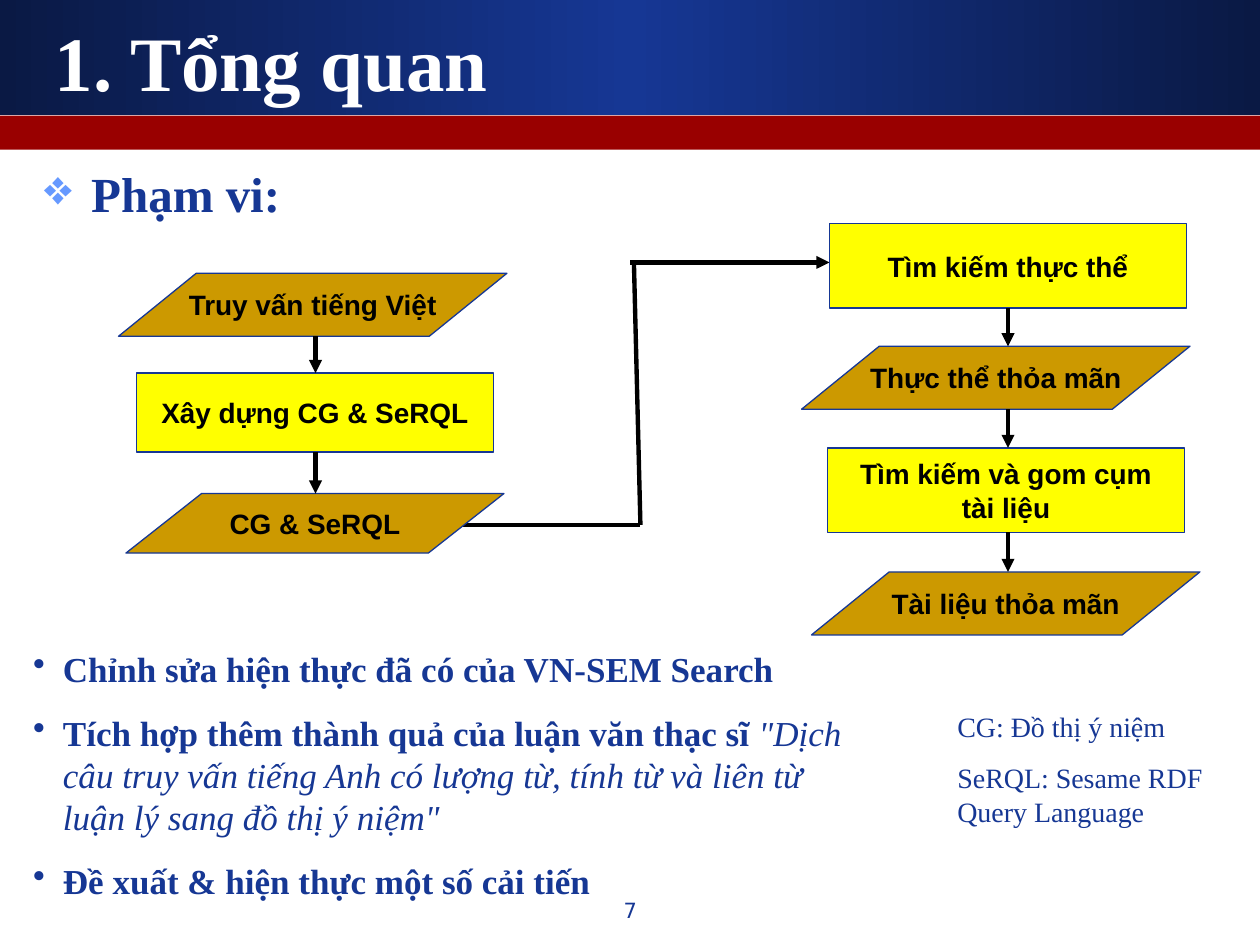
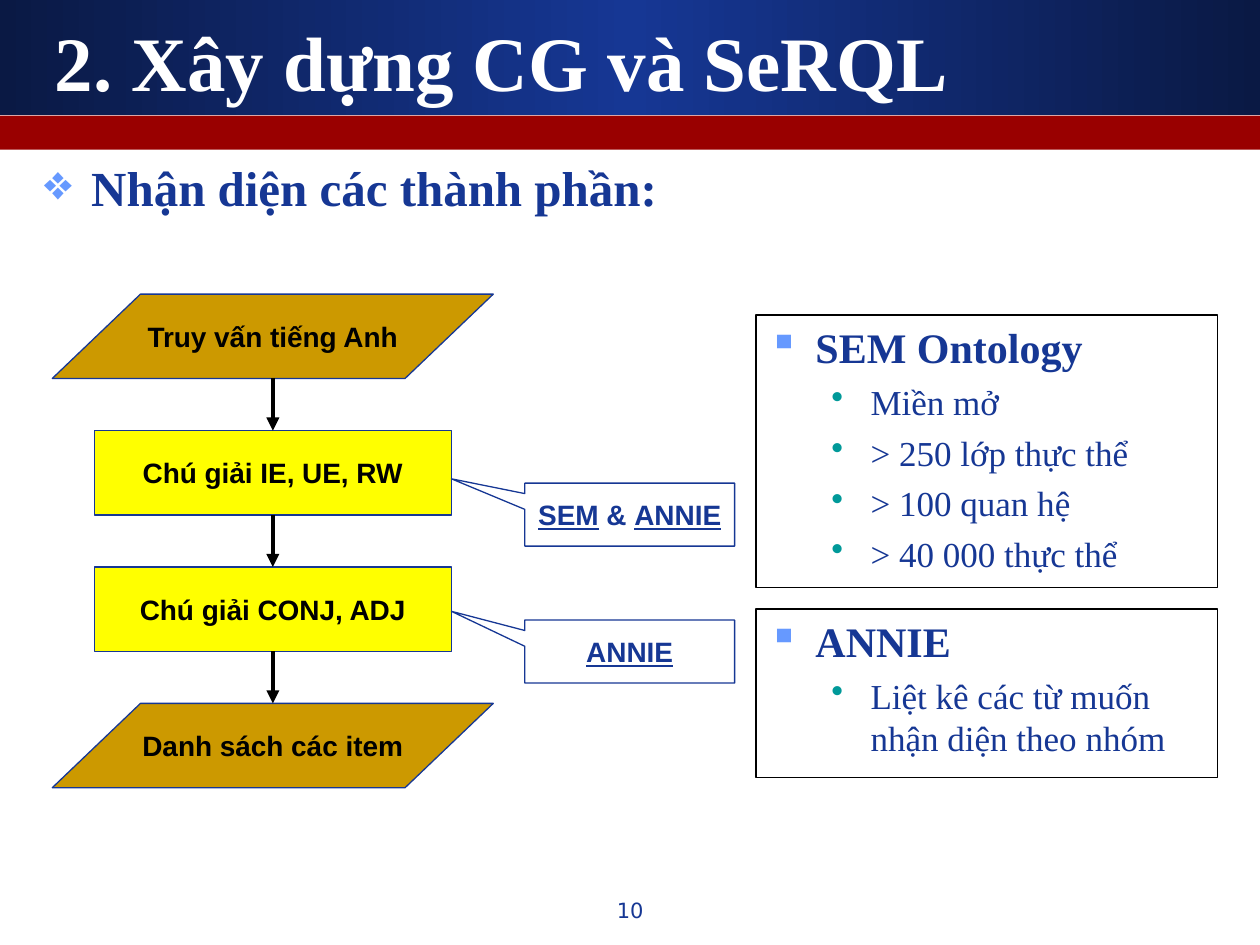
from copy import deepcopy

from lxml import etree
from pptx import Presentation
from pptx.dml.color import RGBColor
from pptx.enum import shapes, text
from pptx.oxml import ns
from pptx.util import Cm, Pt

COLOURS = {"navy": "0A1944", "blue": "163794", "red": "990000", "sky": "6699FF",
           "teal": "009999", "ochre": "CC9900", "yellow": "FFFF00",
           "black": "000000", "white": "FFFFFF"}
SERIF, SANS, NUMBER = "Times New Roman", "Arial", "DejaVu Sans"

# Text styles; bullet is (sign, colour, left margin, hanging indent) in cm
STYLES = {
    "title": dict(font=SERIF, size=44, colour="white", bold=True),
    "heading": dict(font=SERIF, size=28, colour="blue", bold=True, before=7,
                    bullet=("❖", "sky", 0.95, 0.95)),
    "step": dict(font=SANS, size=16, colour="black", bold=True, centred=True),
    "callout": dict(font=SANS, size=16, colour="blue", bold=True, centred=True),
    "goal": dict(font=SERIF, size=20, colour="blue", bold=True, before=12.5,
                 bullet=("•", "blue", 0.6, 0.6)),
    "legend": dict(font=SERIF, size=16, colour="blue", before=10),
    "tool": dict(font=SERIF, size=24, colour="blue", bold=True, before=6,
                 bullet=("▪", "sky", 0.95, 0.95)),
    "fact": dict(font=SERIF, size=20, colour="blue", before=5,
                 bullet=("•", "teal", 2.06, 0.79)),
    "number": dict(font=NUMBER, size=12, colour="blue", centred=True),
}

# Slide 1 content: steps are (kind, lines, (left, top, width, height))
QUERY_STEPS = [
    ("data", ["Truy vấn tiếng Việt"], (2.39, 5.51, 7.83, 1.27)),
    ("process", ["Xây dựng CG & SeRQL"], (2.75, 7.52, 7.2, 1.59)),
    ("data", ["CG & SeRQL"], (2.54, 9.95, 7.62, 1.2)),
]
SEARCH_STEPS = [
    ("process", ["Tìm kiếm thực thể"], (16.72, 4.51, 7.2, 1.7)),
    ("data", ["Thực thể thỏa mãn"], (16.16, 6.98, 7.83, 1.27)),
    ("process", ["Tìm kiếm và gom cụm", "tài liệu"], (16.68, 9.03, 7.2, 1.7)),
    ("data", ["Tài liệu thỏa mãn"], (16.36, 11.53, 7.83, 1.27)),
]
# Route from the query column to the search column: (from, to, has arrowhead)
ROUTE = [((9.32, 10.58), (12.91, 10.58), False),
         ((12.78, 5.33), (12.91, 10.58), False),
         ((12.7, 5.29), (16.72, 5.29), True)]
GOALS = [
    ["Chỉnh sửa hiện thực đã có của VN-SEM Search"],
    ["Tích hợp thêm thành quả của luận văn thạc sĩ ",
     ("\"Dịch câu truy vấn tiếng Anh có lượng từ, tính từ và liên từ "
      "luận lý sang đồ thị ý niệm\"", dict(bold=False, italic=True))],
    ["Đề xuất & hiện thực một số cải tiến"],
]
LEGEND = ["CG: Đồ thị ý niệm", "SeRQL: Sesame RDF Query Language"]

# Slide 2 content
ANNOTATION_STEPS = [("data", "Truy vấn tiếng Anh"), ("process", "Chú giải IE, UE, RW"),
                    ("process", "Chú giải CONJ, ADJ"), ("data", "Danh sách các item")]
UNDERLINED = dict(underline=True)
CALLOUTS = [
    (9.74, -0.569, [("SEM", UNDERLINED), " & ", ("ANNIE", UNDERLINED)]),
    (12.5, -0.639, [("ANNIE", UNDERLINED)]),
]
TOOLS = [  # top, height, name, facts
    (6.35, 5.5, "SEM Ontology",
     ["Miền mở", "> 250 lớp thực thể", "> 100 quan hệ", "> 40 000 thực thể"]),
    (12.28, 3.39, "ANNIE", ["Liệt kê các từ muốn nhận diện theo nhóm"]),
]


def rgb(name):
    return RGBColor.from_string(COLOURS[name])


def add_bullet(paragraph, sign, colour, margin, hanging):
    properties = paragraph._p.get_or_add_pPr()
    properties.set("marL", str(Cm(margin)))
    properties.set("indent", str(-Cm(hanging)))
    bullet_colour = etree.SubElement(properties, ns.qn("a:buClr"))
    etree.SubElement(bullet_colour, ns.qn("a:srgbClr"), val=COLOURS[colour])
    etree.SubElement(properties, ns.qn("a:buChar"), char=sign)


def write(shape, lines, wrap=True, spacing=None):
    """Fill a shape with (style name, runs); a run is text or (text, changes)."""
    frame = shape.text_frame
    frame.word_wrap = wrap
    for index, (style_name, runs) in enumerate(lines):
        style = STYLES[style_name]
        paragraph = frame.add_paragraph() if index else frame.paragraphs[0]
        centred = style.get("centred")
        paragraph.alignment = text.PP_ALIGN.CENTER if centred else text.PP_ALIGN.LEFT
        paragraph.space_before = Pt(style.get("before", 0))
        if spacing:
            paragraph.line_spacing = spacing
        if "bullet" in style:
            add_bullet(paragraph, *style["bullet"])
        changes = [{}]
        for item in runs:
            words, change = (item, {}) if isinstance(item, str) else item
            paragraph.add_run().text = words
            changes.append(change)
        fonts = [paragraph.font] + [run.font for run in paragraph.runs]
        for font, change in zip(fonts, changes):
            font.name, font.size = style["font"], Pt(style["size"])
            font.color.rgb = rgb(style["colour"])
            font.bold = style.get("bold", False)
            for name, value in change.items():
                setattr(font, name, value)


def add_text(slide, box, lines, spacing=None):
    shape = slide.shapes.add_textbox(*map(Cm, box))
    write(shape, lines, spacing=spacing)
    return shape


def add_shape(slide, kind, box, fill=None, line=None):
    shape = slide.shapes.add_shape(kind, *map(Cm, box))
    shape.shadow.inherit = False
    if fill:
        shape.fill.solid()
        shape.fill.fore_color.rgb = rgb(fill)
    else:
        shape.fill.background()
    if line:
        shape.line.color.rgb = rgb(line)
        shape.line.width = Pt(0.75)
    else:
        shape.line.fill.background()
    return shape


def add_line(slide, start, end, arrow=True):
    line = slide.shapes.add_connector(
        shapes.MSO_CONNECTOR.STRAIGHT, *map(Cm, (*start, *end)))
    line.line.color.rgb = rgb("black")
    line.line.width = Pt(2.5)
    if arrow:
        etree.SubElement(line.line._get_or_add_ln(), ns.qn("a:tailEnd"), type="triangle")
    etree.SubElement(line._element.spPr, ns.qn("a:effectLst"))


def add_gradient_band(slide, box):
    band = add_shape(slide, shapes.MSO_SHAPE.RECTANGLE, box)
    band.fill.gradient()
    band.fill.gradient_angle = 0
    stops = band._element.spPr.find(".//" + ns.qn("a:gsLst"))
    stops.insert(1, deepcopy(stops[0]))
    for stop, position, colour in zip(stops, (0, 50, 100), ("navy", "blue", "navy")):
        stop.set("pos", str(position * 1000))
        for child in list(stop):
            stop.remove(child)
        etree.SubElement(stop, ns.qn("a:srgbClr"), val=COLOURS[colour])


def add_flow(slide, axis, steps):
    """Draw a column of steps, joined by arrows along a vertical axis."""
    kinds = {"data": (shapes.MSO_SHAPE.FLOWCHART_DATA, "ochre"),
             "process": (shapes.MSO_SHAPE.FLOWCHART_PROCESS, "yellow")}
    for kind, lines, box in steps:
        outline, fill = kinds[kind]
        shape = add_shape(slide, outline, box, fill, "blue")
        write(shape, [("step", [line]) for line in lines], wrap=False)
    for (_, _, upper), (_, _, lower) in zip(steps, steps[1:]):
        add_line(slide, (axis, upper[1] + upper[3]), (axis, lower[1]))


def start_slide(presentation, title, heading, number, spacing=None):
    slide = presentation.slides.add_slide(presentation.slide_layouts[6])
    add_gradient_band(slide, (0, 0, 25.4, 2.33))
    add_shape(slide, shapes.MSO_SHAPE.RECTANGLE, (0, 2.33, 25.4, 0.69), "red")
    title_box = add_text(slide, (0.85, 0.42, 23.5, 1.59), [("title", [title])])
    title_box.text_frame.vertical_anchor = text.MSO_ANCHOR.MIDDLE
    add_text(slide, (0.64, 3.18, 23.92, 1.6), [("heading", [heading])], spacing)
    add_text(slide, (9.74, 17.96, 5.93, 0.89), [("number", [number])])
    return slide


def build_overview(presentation):
    slide = start_slide(presentation, "1. Tổng quan", "Phạm vi:", "7")
    for start, end, arrow in ROUTE:
        add_line(slide, start, end, arrow)
    add_flow(slide, 6.36, QUERY_STEPS)
    add_flow(slide, 20.32, SEARCH_STEPS)
    add_text(slide, (0.42, 12.93, 16.94, 5.38), [("goal", runs) for runs in GOALS])
    add_text(slide, (19.05, 14.18, 5.72, 2.64), [("legend", [line]) for line in LEGEND])


def build_annotation(presentation):
    slide = start_slide(presentation, "2. Xây dựng CG và SeRQL",
                        "Nhận diện các thành phần:", "10", spacing=0.9)
    # Equal steps centred on one axis
    axis, top, pitch, height = 5.5, 5.93, 2.75, 1.7
    widths = {"data": 8.89, "process": 7.2}
    add_flow(slide, axis, [
        (kind, [words], (axis - widths[kind] / 2, top + index * pitch, widths[kind], height))
        for index, (kind, words) in enumerate(ANNOTATION_STEPS)])
    # Callouts pointing at the process steps
    for callout_top, tip, runs in CALLOUTS:
        callout = add_shape(slide, shapes.MSO_SHAPE.RECTANGULAR_CALLOUT,
                            (10.58, callout_top, 4.23, 1.27), line="blue")
        callout.adjustments[0], callout.adjustments[1] = -0.85, tip
        write(callout, [("callout", runs)])
    # Framed tool notes
    for tool_top, tool_height, name, facts in TOOLS:
        frame = add_shape(slide, shapes.MSO_SHAPE.RECTANGLE,
                          (15.24, tool_top, 9.31, tool_height), line="black")
        frame.text_frame.vertical_anchor = text.MSO_ANCHOR.TOP
        write(frame, [("tool", [name])] + [("fact", [fact]) for fact in facts])


def main():
    presentation = Presentation()
    presentation.slide_width, presentation.slide_height = Cm(25.4), Cm(19.05)
    build_overview(presentation)
    build_annotation(presentation)
    presentation.save("out.pptx")


if __name__ == "__main__":
    main()
